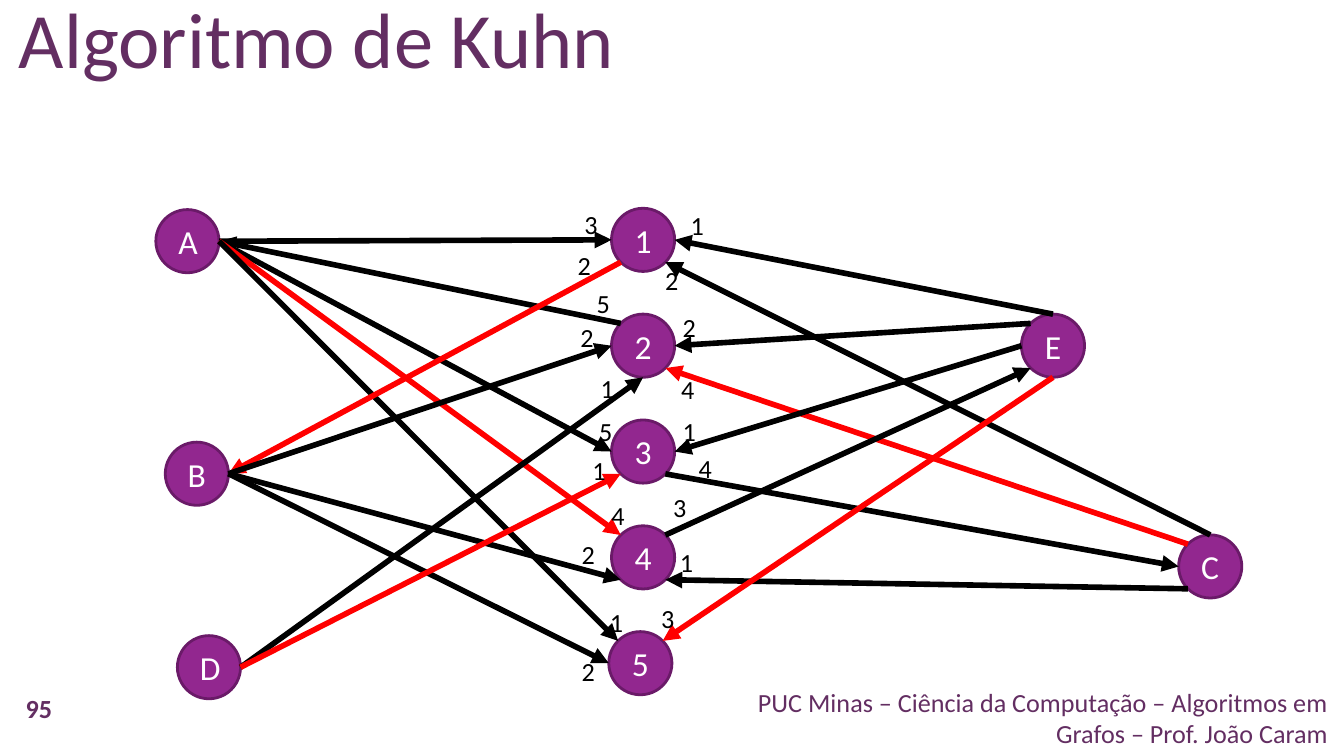
from math import cos, radians, sin

from lxml.etree import SubElement
from pptx import Presentation
from pptx.dml.color import RGBColor
from pptx.enum.shapes import MSO_CONNECTOR, MSO_SHAPE
from pptx.enum.text import MSO_ANCHOR, MSO_AUTO_SIZE, PP_ALIGN
from pptx.oxml.ns import qn
from pptx.util import Inches, Pt

PLUM = RGBColor(0x63, 0x2E, 0x62)
PURPLE = RGBColor(0x92, 0x27, 0x8F)
DARK_PURPLE = RGBColor(0x6A, 0x1A, 0x68)
BLACK = RGBColor(0, 0, 0)
RED = RGBColor(0xFF, 0, 0)
WHITE = RGBColor(0xFF, 0xFF, 0xFF)

SLIDE_WIDTH = 10
SLIDE_HEIGHT = SLIDE_WIDTH * 9 / 16
NODE = 0.47
FIRST_ROW, LAST_ROW = 1.55, 4.7


def row(i):
    """Top of the i-th of five evenly spaced nodes in the middle column."""
    return FIRST_ROW + i * (LAST_ROW - FIRST_ROW) / 4


# Left and top of each node
NODES = {
    "A": (1.16, 1.56), "B": (1.23, 3.29), "C": (8.77, 3.98),
    "D": (1.32, 4.73), "E": (7.6, row(1)),
    "1": (4.55, row(0)), "2": (4.55, row(1)), "3": (4.55, row(2)),
    "4": (4.55, row(3)), "5": (4.53, row(4)),
}

# Points on a node's rim, in degrees clockwise from the right
SIDES = {"r": 0, "br": 45, "b": 90, "bl": 135,
         "l": 180, "tl": 225, "t": 270, "tr": 315}

# Start node, its side, end node, its side, colour, end with the arrowhead
EDGES = [
    ("A", "r", "1", "l", BLACK, "tail"), ("A", "r", "2", "tl", BLACK, "head"),
    ("A", "r", "3", "l", BLACK, "tail"), ("A", "r", "4", "tl", RED, "tail"),
    ("A", "r", "5", "tl", BLACK, "tail"),
    ("B", "r", "1", "bl", RED, "head"), ("B", "r", "2", "l", BLACK, "tail"),
    ("B", "r", "4", "bl", BLACK, "tail"), ("B", "r", "5", "l", BLACK, "tail"),
    ("C", "t", "1", "br", BLACK, "tail"), ("C", "tl", "2", "br", RED, "tail"),
    ("C", "l", "3", "br", BLACK, "head"), ("C", "bl", "4", "br", BLACK, "tail"),
    ("D", "r", "2", "b", BLACK, "tail"), ("D", "r", "3", "bl", RED, "tail"),
    ("1", "r", "E", "t", BLACK, "head"), ("2", "r", "E", "tl", BLACK, "head"),
    ("3", "r", "E", "l", BLACK, "head"), ("4", "tr", "E", "bl", BLACK, "tail"),
    ("5", "tr", "E", "b", RED, "head"),
]

# Edge weights: left and top of each label, by neighbouring letter node
WEIGHTS = {
    "A": [("3", 4.25, 1.5), ("5", 4.34, 2.09), ("5", 4.36, 3.04),
          ("4", 4.45, 3.67), ("1", 4.44, 4.46)],
    "B": [("2", 4.2, 1.81), ("2", 4.22, 2.34), ("2", 4.23, 3.96),
          ("2", 4.23, 4.83)],
    "C": [("2", 4.85, 1.92), ("4", 4.97, 2.73), ("4", 5.1, 3.32),
          ("1", 4.96, 4.02)],
    "D": [("1", 4.37, 2.72), ("1", 4.31, 3.33)],
    "E": [("1", 5.04, 1.51), ("2", 4.98, 2.27), ("1", 4.98, 3.04),
          ("3", 4.91, 3.61), ("3", 4.82, 4.43)],
}


def write(sp, text, align=PP_ALIGN.LEFT, anchor=MSO_ANCHOR.MIDDLE, wrap=True,
          auto_size=MSO_AUTO_SIZE.NONE, spacing=None, **font):
    tf = sp.text_frame
    frame = {"word_wrap": wrap, "auto_size": auto_size, "vertical_anchor": anchor,
             "margin_left": Inches(0.1), "margin_right": Inches(0.1),
             "margin_top": Inches(0.05), "margin_bottom": Inches(0.05)}
    for name, value in frame.items():
        setattr(tf, name, value)
    p = tf.paragraphs[0]
    p.alignment = align
    if spacing:
        p.line_spacing = spacing
    r = p.add_run()
    r.text = text
    r.font.color.rgb = font.pop("color")
    for name, value in {"name": "Calibri", **font}.items():
        setattr(r.font, name, value)


def add_text(s, text, left, top, width, height, **style):
    sp = s.shapes.add_textbox(*map(Inches, (left, top, width, height)))
    write(sp, text, **style)


def add_title(s, text):
    sp = s.shapes.title
    place = {"left": 0.04, "top": -0.42, "width": 9.21, "height": 1.1}
    for name, value in place.items():
        setattr(sp, name, Inches(value))
    write(sp, text, anchor=MSO_ANCHOR.BOTTOM, size=Pt(42), color=PLUM)


def add_node(s, name):
    left, top = NODES[name]
    sp = s.shapes.add_shape(MSO_SHAPE.OVAL, *map(Inches, (left, top, NODE, NODE)))
    sp.shadow.inherit = False
    sp.fill.solid()
    sp.fill.fore_color.rgb = PURPLE
    sp.line.color.rgb = DARK_PURPLE
    sp.line.width = Pt(1.5)
    write(sp, name, align=PP_ALIGN.CENTER, size=Pt(18), color=WHITE)


def rim_point(name, side):
    left, top = NODES[name]
    angle, radius = radians(SIDES[side]), NODE / 2
    return (Inches(left + radius * (1 + cos(angle))),
            Inches(top + radius * (1 + sin(angle))))


def add_edge(s, start, start_side, end, end_side, color, arrow):
    line = s.shapes.add_connector(MSO_CONNECTOR.STRAIGHT,
                                  *rim_point(start, start_side),
                                  *rim_point(end, end_side))
    line.line.color.rgb = color
    line.line.width = Pt(3)
    SubElement(line.line._get_or_add_ln(), qn(f"a:{arrow}End"), type="triangle")
    SubElement(line._element.spPr, qn("a:effectLst"))


def main():
    prs = Presentation()
    prs.slide_width, prs.slide_height = Inches(SLIDE_WIDTH), Inches(SLIDE_HEIGHT)
    s = prs.slides.add_slide(prs.slide_layouts[5])

    # Title, footer and page number
    add_title(s, "Algoritmo de Kuhn")
    add_text(s, "PUC Minas – Ciência da Computação – Algoritmos em Grafos"
                " – Prof. João Caram",
             5, 5.19, 4.98, 0.3, align=PP_ALIGN.RIGHT, size=Pt(14), color=PLUM)
    add_text(s, "95", 0, 5.13, 0.58, 0.31, align=PP_ALIGN.CENTER, spacing=0.9,
             size=Pt(14), color=PLUM, bold=True)

    # Graph
    for name in NODES:
        add_node(s, name)
    for edge in EDGES:
        add_edge(s, *edge)
    for labels in WEIGHTS.values():
        for text, left, top in labels:
            add_text(s, text, left, top, 0.31, 0.34, anchor=MSO_ANCHOR.TOP,
                     wrap=False, auto_size=MSO_AUTO_SIZE.SHAPE_TO_FIT_TEXT,
                     size=Pt(14), color=BLACK)

    prs.save("out.pptx")


if __name__ == "__main__":
    main()
